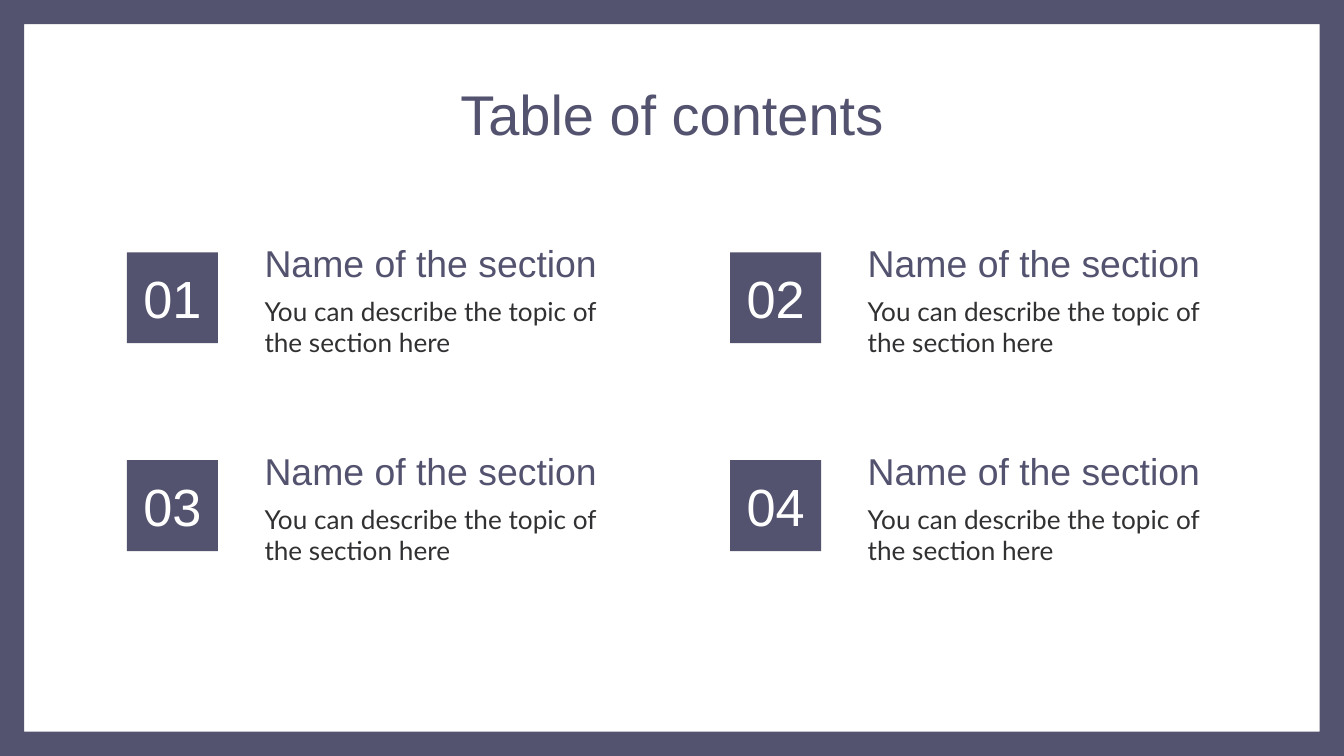
from pptx import Presentation
from pptx.dml.color import RGBColor
from pptx.enum.shapes import MSO_SHAPE as Shape
from pptx.enum.text import MSO_ANCHOR as Anchor, MSO_AUTO_SIZE as AutoSize, PP_ALIGN as Align
from pptx.util import Cm, Pt

COLORS = {"accent": "53526F", "body": "313133", "white": "FFFFFF"}


def write(shape, text, size, color, font="Arial", anchor=Anchor.TOP, align=Align.LEFT):
    frame = shape.text_frame
    frame.word_wrap = True
    frame.auto_size = AutoSize.NONE
    frame.vertical_anchor = anchor
    frame.margin_left = frame.margin_right = Cm(0.25)
    frame.margin_top = frame.margin_bottom = Cm(0.25)
    paragraph = frame.paragraphs[0]
    paragraph.alignment = align
    run = paragraph.add_run()
    run.text = text
    run.font.size = Pt(size)
    run.font.name = font
    run.font.color.rgb = RGBColor.from_string(COLORS[color])


def add_filled(kind, left, top, width, height):
    shape = slide.shapes.add_shape(kind, left, top, width, height)
    shape.shadow.inherit = False
    shape.fill.solid()
    shape.fill.fore_color.rgb = RGBColor.from_string(COLORS["accent"])
    shape.line.fill.background()
    return shape


presentation = Presentation()
presentation.slide_width = Cm(25.4)
presentation.slide_height = Cm(14.29)
slide = presentation.slides.add_slide(presentation.slide_layouts[5])
slide.background.fill.solid()
slide.background.fill.fore_color.rgb = RGBColor.from_string(COLORS["white"])

# Border around the slide
border = add_filled(Shape.FRAME, 0, 0, presentation.slide_width, presentation.slide_height)
border.adjustments[0] = 0.032

# Title
title = slide.shapes.title
title.left, title.top, title.width, title.height = Cm(2), Cm(1.25), Cm(21.4), Cm(1.6)
write(title, "Table of contents", 30, "accent", align=Align.CENTER)

# Sections in a grid of two by two
columns = [(Cm(2.4), Cm(4.75)), (Cm(13.8), Cm(16.15))]
rows = [Cm(4.77), Cm(8.7)]
for row, top in enumerate(rows):
    for column, (number_left, text_left) in enumerate(columns):
        number = add_filled(Shape.RECTANGLE, number_left, top, Cm(1.72), Cm(1.72))
        write(number, f"{row * 2 + column + 1:02d}", 28, "white",
              anchor=Anchor.MIDDLE, align=Align.CENTER)

        name = slide.shapes.add_textbox(text_left, top - Cm(0.15), Cm(6.86), Cm(1.02))
        write(name, "Name of the section", 20, "accent", anchor=Anchor.BOTTOM)

        description = slide.shapes.add_textbox(text_left, top + Cm(0.56), Cm(6.86), Cm(1.35))
        write(description, "You can describe the topic of the section here", 14, "body", font="Lato")

presentation.save("out.pptx")
